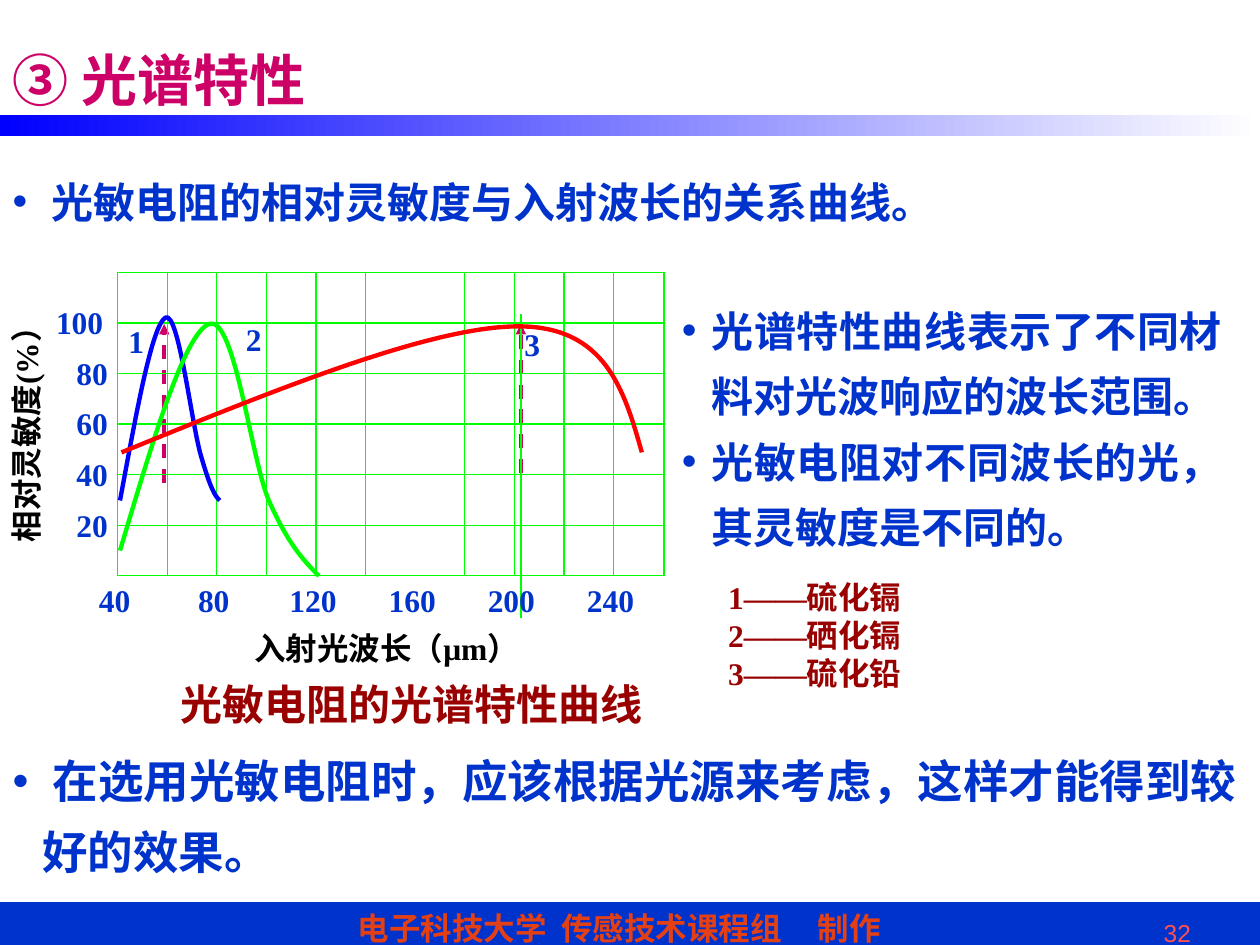
from lxml import etree
from pptx import Presentation
from pptx.dml.color import RGBColor
from pptx.enum import dml, shapes, text
from pptx.oxml.ns import qn
from pptx.util import Cm, Pt

BLUE = RGBColor(0x00, 0x33, 0xCC)
PURE_BLUE = RGBColor(0x00, 0x00, 0xFF)
GREEN = RGBColor(0x00, 0xFF, 0x00)
RED = RGBColor(0xFF, 0x00, 0x00)
MAGENTA = RGBColor(0xCC, 0x00, 0x66)
MAROON = RGBColor(0x99, 0x00, 0x00)
ORANGE = RGBColor(0xE3, 0x41, 0x15)
CORAL = RGBColor(0xFF, 0x50, 0x50)
BLACK = RGBColor(0, 0, 0)
WHITE = RGBColor(0xFF, 0xFF, 0xFF)

SERIF, SANS, CJK = "Times New Roman", "Arial", "Noto Sans CJK SC"
LEFT, CENTER, RIGHT, JUSTIFY = (text.PP_ALIGN.LEFT, text.PP_ALIGN.CENTER,
                                text.PP_ALIGN.RIGHT, text.PP_ALIGN.JUSTIFY)


def place(shape, box):
    shape.left, shape.top, shape.width, shape.height = map(Cm, box)


def style(paragraph, size, color, font=SERIF, bold=True, align=LEFT, spacing=1.0):
    paragraph.alignment = align
    paragraph.line_spacing = spacing
    paragraph.space_before = Pt(0)
    for run in paragraph.runs:
        run.font.size, run.font.bold, run.font.name = Pt(size), bold, font
        run.font.color.rgb = color
        latin = run._r.rPr.find(qn("a:latin"))
        latin.addnext(etree.Element(qn("a:ea"), typeface=CJK))


def add_label(slide, box, words, color=BLUE, size=18, **look):
    label = slide.shapes.add_textbox(*map(Cm, box))
    label.text_frame.word_wrap = True
    label.text_frame.text = words
    for paragraph in label.text_frame.paragraphs:
        style(paragraph, size, color, **look)
    return label


def add_line(slide, start, end, color, width=0.75, arrow=False):
    line = slide.shapes.add_connector(
        shapes.MSO_CONNECTOR.STRAIGHT, *map(Cm, (*start, *end)))
    line.line.color.rgb, line.line.width = color, Pt(width)
    etree.SubElement(line._element.spPr, qn("a:effectLst"))
    if arrow:
        line.line.dash_style = dml.MSO_LINE.DASH
        etree.SubElement(line.line._get_or_add_ln(), qn("a:tailEnd"), type="triangle")


def add_band(slide, box, outline=None):
    band = slide.shapes.add_shape(shapes.MSO_SHAPE.RECTANGLE, *map(Cm, box))
    band.shadow.inherit = False
    if outline is None:
        band.line.fill.background()
    else:
        band.line.color.rgb, band.line.width = outline, Pt(0.75)
    return band


def add_header(slide, box):
    left, top, width, height = box
    # Gradient rule under the title
    rule = add_band(slide, (left, top + 2.31, width, 0.43))
    rule.fill.gradient()
    rule.fill.gradient_angle = 0
    for stop, color, position in zip(rule.fill.gradient_stops, (PURE_BLUE, WHITE), (0, 1)):
        stop.color.rgb, stop.position = color, position
    # Title
    title = slide.shapes.title
    place(title, (left, top, 11.43, height))
    title.text_frame.text = "③ 光谱特性"
    title.text_frame.vertical_anchor = text.MSO_ANCHOR.MIDDLE
    style(title.text_frame.paragraphs[0], 32, MAGENTA, font=SANS)


def add_footer(slide, box):
    left, top, width, height = box
    footer = add_band(slide, box, BLUE)
    footer.fill.solid()
    footer.fill.fore_color.rgb = BLUE
    frame = footer.text_frame
    frame.margin_left = Cm(7.21)
    frame.vertical_anchor = text.MSO_ANCHOR.TOP
    frame.text = "电子科技大学\t传感技术课程组\t制作"
    credit = frame.paragraphs[0]
    tabs = etree.SubElement(credit._p.get_or_add_pPr(), qn("a:tabLst"))
    for stop in (4.11, 9.28):
        etree.SubElement(tabs, qn("a:tab"), pos=str(Cm(stop)), algn="l")
    style(credit, 18, ORANGE, font=SANS)
    # Page number
    add_label(slide, (left + 17.91, top + 0.18, 6.35, 0.66), "32", CORAL, 14,
              font=SANS, bold=False, align=RIGHT)


def fill_bullets(placeholder, box, items, size, font=CJK, align=JUSTIFY):
    place(placeholder, box)
    frame = placeholder.text_frame
    frame.auto_size = text.MSO_AUTO_SIZE.NONE
    frame.vertical_anchor = text.MSO_ANCHOR.TOP
    frame.text = "\n".join(items)
    for paragraph in frame.paragraphs:
        properties = paragraph._p.get_or_add_pPr()
        properties.set("marL", str(Cm(0.6)))
        properties.set("indent", str(-Cm(0.6)))
        bullet_color = etree.SubElement(properties, qn("a:buClr"))
        etree.SubElement(bullet_color, qn("a:srgbClr"), val=str(BLUE))
        etree.SubElement(properties, qn("a:buFont"), typeface=SANS)
        etree.SubElement(properties, qn("a:buChar"), char="•")
        style(paragraph, size, BLUE, font=font, align=align, spacing=1.3)


def add_curve(slide, points, color):
    """Draw a start point followed by Bezier triples: two controls and an end."""
    points = [tuple(map(Cm, point)) for point in points]
    builder = slide.shapes.build_freeform(*points[0])
    builder.add_line_segments(points[1:], close=False)
    curve = builder.convert_to_shape()
    # Join each three straight steps into one cubic segment
    steps = list(curve._element.iter(qn("a:lnTo")))
    for first in range(0, len(steps), 3):
        cubic = etree.Element(qn("a:cubicBezTo"))
        steps[first].addprevious(cubic)
        for step in steps[first:first + 3]:
            cubic.append(step[0])
            step.getparent().remove(step)
    curve.shadow.inherit = False
    curve.fill.background()
    curve.line.color.rgb, curve.line.width = color, Pt(2.5)


def add_spectrum(slide, box):
    left, top, width, height = box

    def at(x, y):
        return left + x, top + y

    # Peak markers
    for x, foot in ((0.94, 4.24), (8.13, 4.04)):
        add_line(slide, at(x, foot), at(x, 1.04), MAGENTA, 2, arrow=True)

    # Frame and grid
    add_band(slide, box, GREEN).fill.background()
    for column in (1, 2, 3, 4, 5, 7, 8, 9, 10):
        add_line(slide, at(column, 0), at(column, height), GREEN)
    add_line(slide, at(8.13, 0.84), at(8.13, 6.96), GREEN)
    for row in range(1, 6):
        y = row * height / 6
        add_line(slide, at(0, y), at(width, y), GREEN)

    # Sensitivity curves
    curves = (
        (PURE_BLUE, ((0.05, 4.6), (0.38, 2.84), (0.69, 1.07), (0.97, 0.91),
                     (1.24, 0.79), (1.5, 3.15), (1.7, 3.76),
                     (1.88, 4.37), (1.96, 4.5), (2.06, 4.6))),
        (GREEN, ((0.05, 5.61), (0.71, 3.4), (1.35, 1.22), (1.85, 1.04),
                 (2.36, 0.86), (2.69, 3.76), (3.05, 4.6),
                 (3.43, 5.46), (3.73, 5.79), (4.06, 6.12))),
        (RED, ((0.08, 3.63), (3.2, 2.36), (6.32, 1.09), (8.08, 1.09),
               (9.83, 1.09), (10.21, 2.36), (10.57, 3.63))),
    )
    for color, points in curves:
        add_curve(slide, [at(*point) for point in points], color)

    # Axis values
    for row, value in enumerate(("100", "80", "60", "40", "20")):
        span = 0.42 + 0.41 * len(value)
        add_label(slide, (*at(0.16 - span, 0.5 + 1.02 * row), span, 0.9), value)
    for column, value in enumerate(range(40, 241, 40)):
        add_label(slide, (*at(2 * column - 0.86, 6.09), 1.6, 0.9), str(value), align=CENTER)

    # Curve numbers
    for number, x, y in (("3", 7.95, 0.94), ("1", -0.03, 0.87), ("2", 2.34, 0.84)):
        add_label(slide, (*at(x, y), 0.84, 1.02), number)

    # Axis titles and caption
    add_label(slide, (*at(2.51, 7.06), 6.55, 1.27), "入射光波长（μm）", BLACK)
    sensitivity = add_label(slide, (*at(-4.8, 2.08), 6.05, 1.17), "相对灵敏度(%）", BLACK)
    sensitivity.rotation = 270
    add_label(slide, (*at(0.53, 7.85), 10.8, 1.47), "光敏电阻的光谱特性曲线",
              MAROON, 24, align=CENTER, spacing=1.2)


def main():
    deck = Presentation()
    deck.slide_width, deck.slide_height = Cm(25.4), Cm(19.05)
    slide = deck.slides.add_slide(deck.slide_layouts.get_by_name("Comparison"))
    summary, findings, advice, spare = list(slide.placeholders)[1:5]
    spare._element.getparent().remove(spare._element)

    add_footer(slide, (0, 18.2, 25.4, 1.02))
    add_header(slide, (0, 0, 25.4, 3.18))
    fill_bullets(summary, (0, 3.12, 24.21, 1.57),
                 [" 光敏电阻的相对灵敏度与入射波长的关系曲线。"], 24)
    add_spectrum(slide, (2.37, 5.49, 11.02, 6.12))
    fill_bullets(findings, (13.49, 5.72, 11.4, 6.86),
                 ["光谱特性曲线表示了不同材料对光波响应的波长范围。",
                  "光敏电阻对不同波长的光，其灵敏度是不同的。"], 24)
    # Legend of the curve numbers
    add_label(slide, (14.43, 11.53, 4.6, 2.54),
              "1——硫化镉\n2——硒化镉\n3——硫化铅", MAROON)
    fill_bullets(advice, (0, 14.73, 25.4, 3.12),
                 [" 在选用光敏电阻时，应该根据光源来考虑，这样才能得到较好的效果。"],
                 26, font=SANS, align=LEFT)
    deck.save("out.pptx")


if __name__ == "__main__":
    main()
